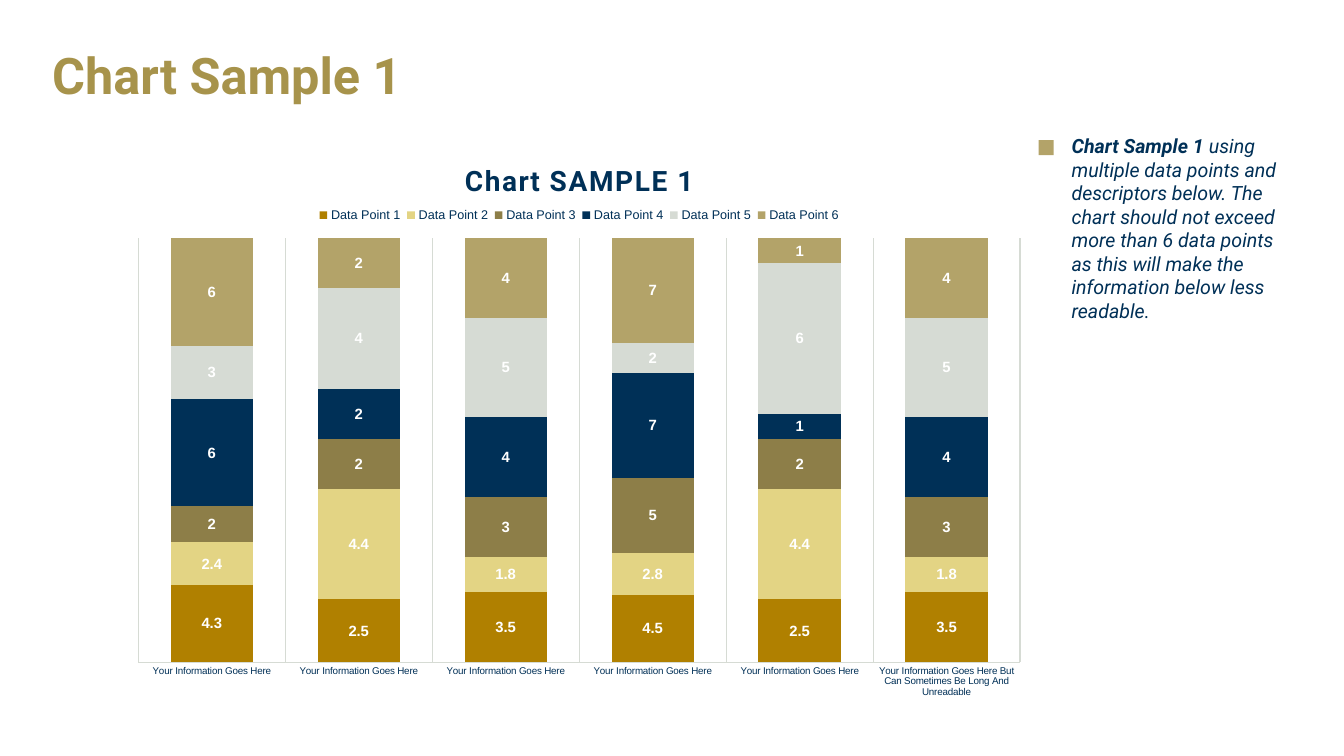
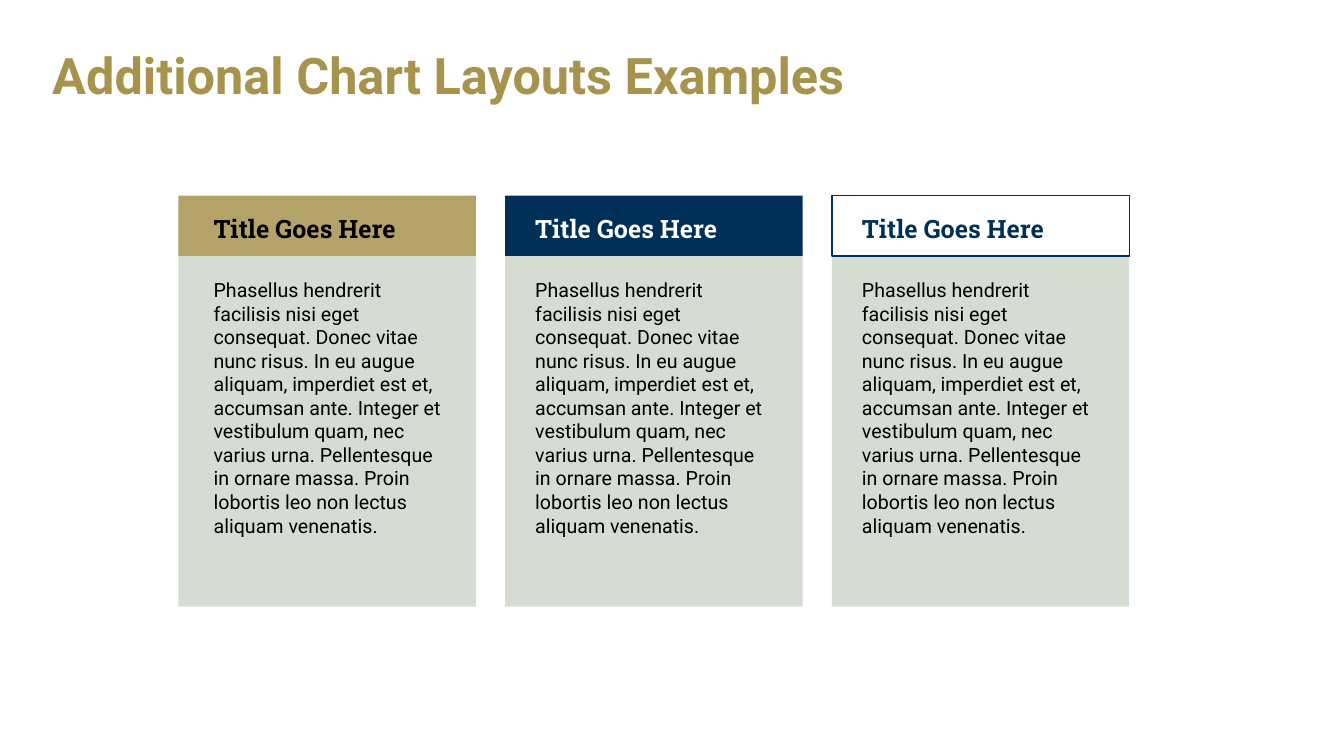
from lxml import etree
from pptx import Presentation
from pptx.chart.data import CategoryChartData
from pptx.dml.color import RGBColor
from pptx.enum.chart import XL_CHART_TYPE, XL_LEGEND_POSITION, XL_TICK_MARK
from pptx.enum.shapes import MSO_SHAPE
from pptx.enum.text import MSO_ANCHOR
from pptx.oxml.ns import qn
from pptx.util import Inches, Pt

STACKED = XL_CHART_TYPE.COLUMN_STACKED_100
LEGEND_TOP = XL_LEGEND_POSITION.TOP
NO_TICK = XL_TICK_MARK.NONE
RECTANGLE = MSO_SHAPE.RECTANGLE
MIDDLE, TOP = MSO_ANCHOR.MIDDLE, MSO_ANCHOR.TOP

# Shared colours and text styles
NAVY, GOLD, GREY = "003057", "B3A369", "D6DBD4"
BLACK, WHITE = "000000", "FFFFFF"
TITLE = {"name": "Roboto", "size": 36, "color": "A7934B", "bold": True}
NOTE = {"name": "Roboto", "size": 14, "color": NAVY, "italic": True}
BODY = {"name": "Roboto", "size": 14, "color": BLACK}
HEADING = {"name": "Roboto Slab", "size": 18, "bold": True}
CHART_TITLE = {"name": "Roboto", "size": 20, "color": NAVY, "bold": True}
CHART_TEXT = {"name": "Arial", "size": 10, "color": NAVY}

# Chart slide content
CHART_PAGE_TITLE = "Chart Sample 1"
CHART_HEADING = "Chart SAMPLE 1"
CATEGORIES = ["Your Information Goes Here"] * 5 + [
    "Your Information Goes Here But Can Sometimes Be Long And Unreadable"]
SERIES = [
    ("Data Point 1", "B08000", (4.3, 2.5, 3.5, 4.5, 2.5, 3.5)),
    ("Data Point 2", "E3D484", (2.4, 4.4, 1.8, 2.8, 4.4, 1.8)),
    ("Data Point 3", "8D7E48", (2, 2, 3, 5, 2, 3)),
    ("Data Point 4", NAVY, (6, 2, 4, 7, 1, 4)),
    ("Data Point 5", GREY, (3, 4, 5, 2, 6, 5)),
    ("Data Point 6", GOLD, (6, 2, 4, 7, 1, 4)),
]
NOTE_SPANS = [
    ("Chart Sample 1 ", {**NOTE, "bold": True}),
    ("using multiple data points and descriptors below. The chart should not "
     "exceed more than 6 data points as this will make the information below "
     "less readable.", NOTE),
]

# Card slide content: header fill, header line, heading colour, text inset
CARDS_PAGE_TITLE = "Additional Chart Layouts Examples"
CARD_HEADING = "Title Goes Here"
CARD_TEXT = (
    "Phasellus hendrerit facilisis nisi eget consequat. Donec vitae nunc risus. "
    "In eu augue aliquam, imperdiet est et, accumsan ante. Integer et vestibulum "
    "quam, nec varius urna. Pellentesque in ornare massa. Proin lobortis leo non "
    "lectus aliquam venenatis.")
CARDS = [
    (GOLD, None, BLACK, 0.25),
    (NAVY, None, WHITE, 0.2),
    (WHITE, NAVY, NAVY, 0.2),
]
CARD_LEFT, CARD_WIDTH, CARD_GAP = 1.77, 2.95, 0.29


def rgb(value):
    return RGBColor.from_string(value)


def style_font(font, style):
    for key, value in style.items():
        if key == "color":
            font.color.rgb = rgb(value)
        else:
            setattr(font, key, Pt(value) if key == "size" else value)


def add_text(page, place, spans, anchor=TOP, line_spacing=None):
    box = page.shapes.add_textbox(*map(Inches, place))
    box.text_frame.word_wrap = True
    box.text_frame.vertical_anchor = anchor
    para = box.text_frame.paragraphs[0]
    para.line_spacing = line_spacing
    for text, style in spans:
        span = para.add_run()
        span.text = text
        style_font(span.font, style)


def add_rectangle(page, place, fill, line=None):
    shape = page.shapes.add_shape(RECTANGLE, *map(Inches, place))
    shape.shadow.inherit = False
    shape.fill.solid()
    shape.fill.fore_color.rgb = rgb(fill)
    if line:
        shape.line.color.rgb = rgb(line)
        shape.line.width = Pt(1)
    else:
        shape.line.fill.background()


def add_page(deck, title):
    page = deck.slides.add_slide(deck.slide_layouts[6])
    add_text(page, (0.42, 0.22, 12.5, 1.11), [(title, TITLE)], MIDDLE, 0.9)
    return page


def place_part(element, index, **fractions):
    """Fix a chart part's position in fractions of the chart area."""
    for old in element.findall(qn("c:layout")):
        element.remove(old)
    layout = etree.Element(qn("c:layout"))
    manual = etree.SubElement(layout, qn("c:manualLayout"))
    settings = {"xMode": "edge", "yMode": "edge", **fractions}
    if element.tag == qn("c:plotArea"):
        settings = {"layoutTarget": "inner", **settings}
    for name, value in settings.items():
        etree.SubElement(manual, qn(f"c:{name}")).set("val", str(value))
    element.insert(index, layout)


def add_stacked_chart(page):
    data = CategoryChartData()
    data.categories = CATEGORIES
    for name, _, values in SERIES:
        data.add_series(name, values)
    place = map(Inches, (1.19, 1.27, 9.11, 5.76))
    chart = page.shapes.add_chart(STACKED, *place, data).chart
    style_font(chart.font, CHART_TEXT)

    # Columns and their labels
    plot = chart.plots[0]
    plot.gap_width, plot.overlap = 79, 100
    plot.vary_by_categories = False
    for series, (_, color, _) in zip(plot.series, SERIES):
        series.format.fill.solid()
        series.format.fill.fore_color.rgb = rgb(color)
        labels = series.data_labels
        labels.show_value = True
        style_font(labels.font, {**CHART_TEXT, "size": 10.6, "color": WHITE, "bold": True})

    # Axes
    chart.value_axis.visible = False
    chart.value_axis.has_major_gridlines = False
    axis = chart.category_axis
    axis.major_tick_mark = axis.minor_tick_mark = NO_TICK
    axis.has_major_gridlines = True
    style_font(axis.tick_labels.font, {**CHART_TEXT, "size": 7})
    for line in (axis.format.line, axis.major_gridlines.format.line):
        line.color.rgb = rgb(GREY)
        line.width = Pt(0.75)

    # Heading and legend
    chart.has_title = True
    span = chart.chart_title.text_frame.paragraphs[0].add_run()
    span.text = CHART_HEADING
    style_font(span.font, CHART_TITLE)
    span.font._element.set("spc", "100")
    chart.has_legend = True
    chart.legend.position = LEGEND_TOP
    chart.legend.include_in_layout = False
    style_font(chart.legend.font, {**CHART_TEXT, "size": 9})

    place_part(chart.chart_title._element, 1, x=0.37, y=0.05)
    place_part(chart.legend._element, 1, x=0.21, y=0.13, w=0.58, h=0.04)
    place_part(chart._chartSpace.chart.plotArea, 0, x=0.02, y=0.19, w=0.96, h=0.73)


def add_card(page, left, fill, line, heading_color, inset):
    add_rectangle(page, (left, 2.49, CARD_WIDTH, 3.53), GREY)
    add_rectangle(page, (left, 1.94, CARD_WIDTH, 0.6), fill, line)
    add_text(page, (left + inset, 2.71, 2.51, 2.69), [(CARD_TEXT, BODY)])
    heading = {**HEADING, "color": heading_color}
    add_text(page, (left + inset, 2.07, 2.37, 0.4), [(CARD_HEADING, heading)])


def main():
    deck = Presentation()
    deck.slide_width, deck.slide_height = Inches(13.33), Inches(7.5)

    page = add_page(deck, CHART_PAGE_TITLE)
    add_stacked_chart(page)
    add_text(page, (10.53, 1.28, 2.33, 1.99), NOTE_SPANS)
    add_rectangle(page, (10.3, 1.39, 0.15, 0.15), GOLD)

    page = add_page(deck, CARDS_PAGE_TITLE)
    for index, card in enumerate(CARDS):
        add_card(page, CARD_LEFT + index * (CARD_WIDTH + CARD_GAP), *card)

    deck.save("out.pptx")


if __name__ == "__main__":
    main()
